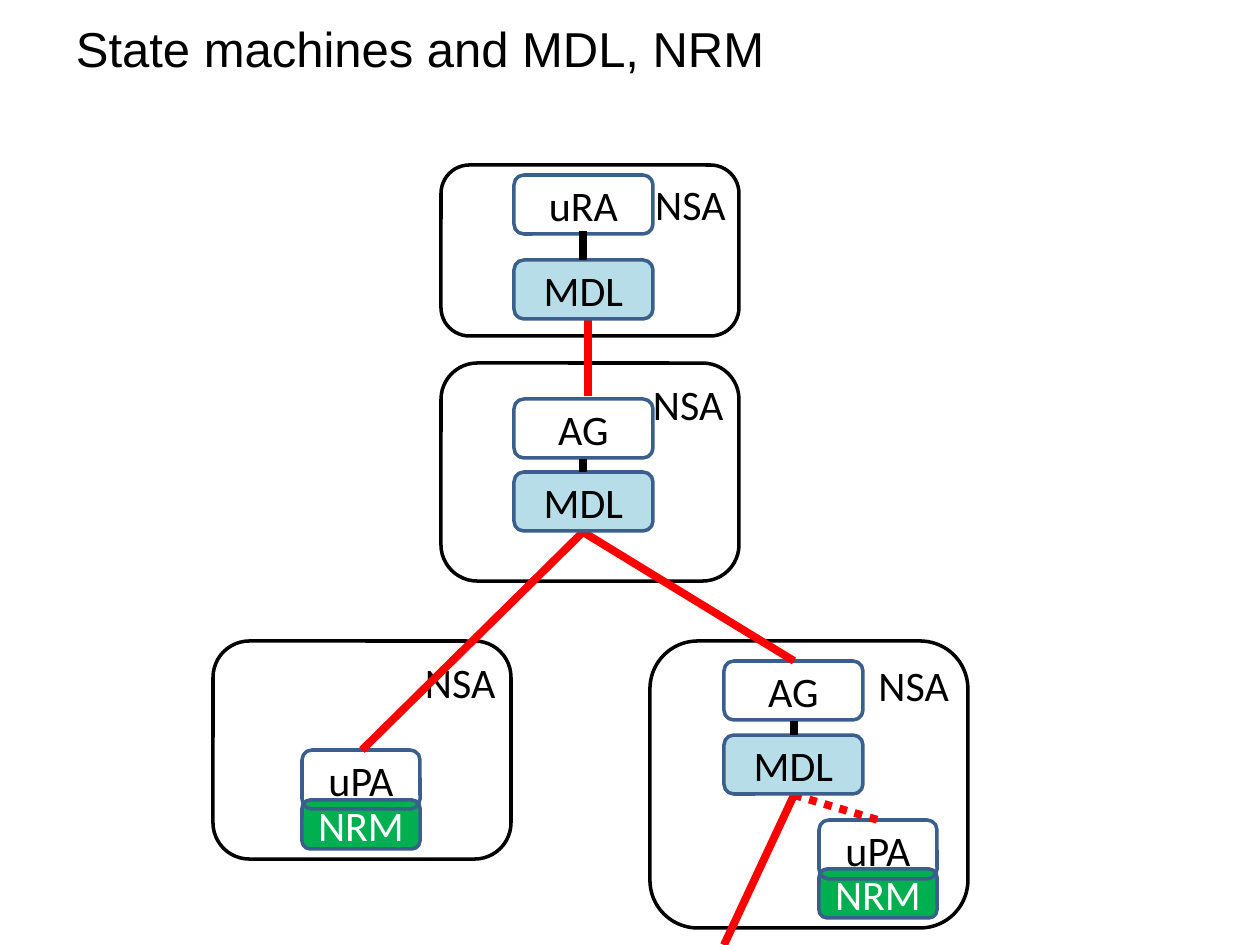
from pptx import Presentation, util as u
from pptx.dml.color import RGBColor
from pptx.enum import dml, shapes, text
from pptx.oxml.ns import qn
from lxml import etree

THEME = dict(
    black="000000", white="FFFFFF", red="FF0000", edge="3A5F8C",
    blue="B7DEE8", green="00B050",
    head=28, body=24, rim=2, link=4.5,
)
PX = u.Inches(1) / 126


def px(*vals):
    return [round(v * PX) for v in vals]


def put(frame, words, font="Calibri", size="body", color="black",
        align="CENTER", anchor="MIDDLE", pad=(5, 5)):
    frame.word_wrap = True
    frame.auto_size = text.MSO_AUTO_SIZE.NONE
    frame.vertical_anchor = text.MSO_ANCHOR[anchor]
    frame.margin_left, frame.margin_top = px(*pad)
    frame.margin_right, frame.margin_bottom = px(*pad)
    para = frame.paragraphs[0]
    para.alignment = text.PP_ALIGN[align]
    run = para.add_run()
    run.text = words
    run.font.name = font
    run.font.size = u.Pt(THEME[size])
    run.font.color.rgb = RGBColor.from_string(THEME[color])


deck = Presentation()
deck.slide_width, deck.slide_height = px(1260, 945)
slide = deck.slides.add_slide(deck.slide_layouts[5])

# Title
title = slide.shapes.title
title.left, title.top, title.width, title.height = px(63, 6, 1134, 149)
put(title.text_frame, "State machines and MDL, NRM", font="Arial",
    size="head", align="LEFT", anchor="TOP", pad=(13, 12))

# Boxes: label, left, top, width, height
frames = [("NSA", 441, 165, 298, 171), ("NSA", 441, 363, 298, 218),
          ("NSA", 213, 641, 298, 218), ("NSA", 650, 641, 318, 287)]
stores = [("NRM", x, y, 118, 49) for x, y in [(819, 869), (302, 800)]]
agents = [("uRA", 514, 175, 139, 59), ("AG", 514, 399, 139, 59),
          ("uPA", 819, 820, 118, 59), ("uPA", 302, 750, 118, 59),
          ("AG", 724, 661, 139, 59)]
models = [("MDL", x, y, 139, 59)
          for x, y in [(514, 472), (514, 260), (724, 735)]]

# Links: start, end, dashed
links = [(588, 294, 588, 396, False), (583, 532, 362, 750, False),
         (583, 532, 794, 661, False), (794, 795, 724, 945, False),
         (794, 795, 878, 820, True)]
ties = [(583, 459, 583, 472, False), (583, 231, 583, 260, False),
        (794, 721, 794, 735, False)]

# Layers from back to front: boxes, fill, edge, text format, lines, line colour
right = dict(align="RIGHT", anchor="TOP")
layers = [
    (frames, None, "black", right, [], None),
    (stores, "green", "edge", dict(color="white"), [], None),
    (agents, None, "edge", {}, links, "red"),
    (models, "blue", "edge", {}, ties, "black"),
]
for boxes, fill, edge, form, lines, tint in layers:
    for label, *area in boxes:
        box = slide.shapes.add_shape(
            shapes.MSO_SHAPE.ROUNDED_RECTANGLE, *px(*area))
        box.shadow.inherit = False
        if fill:
            box.fill.solid()
            box.fill.fore_color.rgb = RGBColor.from_string(THEME[fill])
        else:
            box.fill.background()
        box.line.color.rgb = RGBColor.from_string(THEME[edge])
        box.line.width = u.Pt(THEME["rim"])
        put(box.text_frame, label, **form)
    for *ends, dashed in lines:
        line = slide.shapes.add_connector(
            shapes.MSO_CONNECTOR.STRAIGHT, *px(*ends))
        line.line.color.rgb = RGBColor.from_string(THEME[tint])
        line.line.width = u.Pt(THEME["link"])
        if dashed:
            line.line.dash_style = dml.MSO_LINE.ROUND_DOT
        etree.SubElement(line._element.spPr, qn("a:effectLst"))

deck.save("out.pptx")
